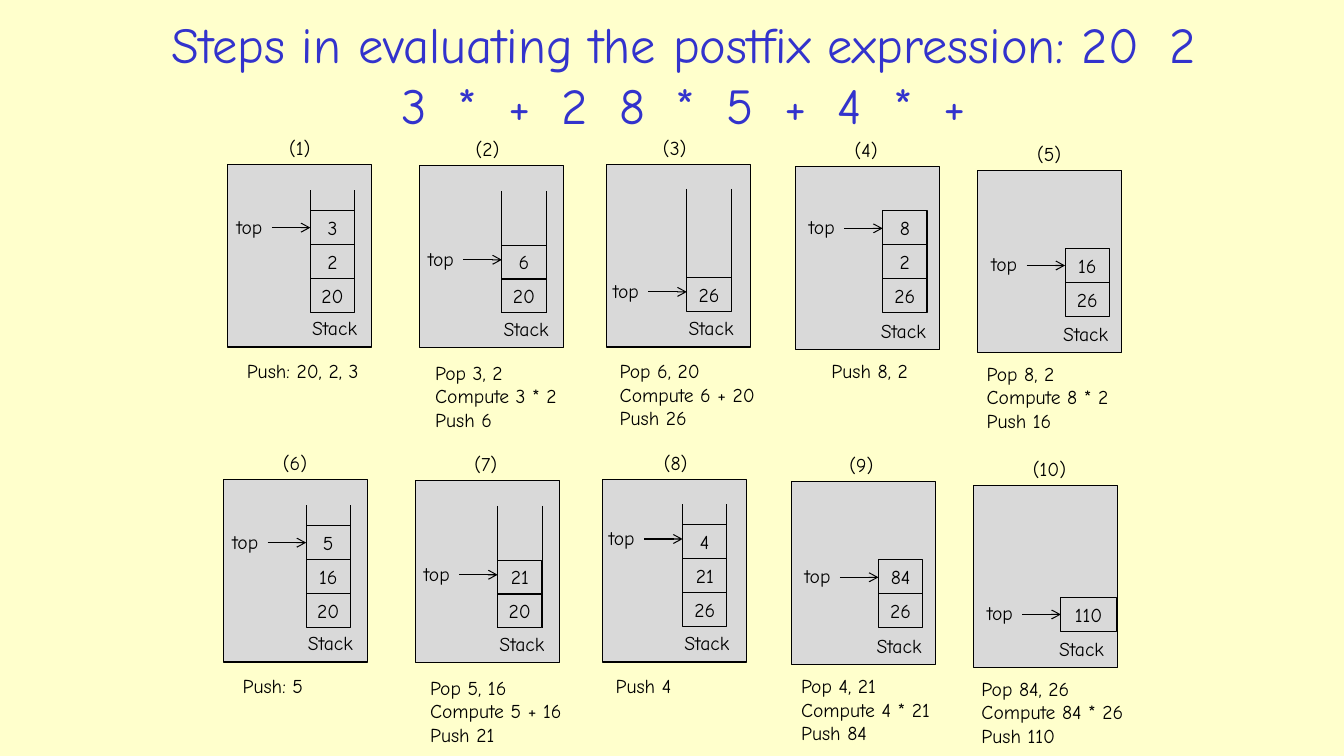
"""Build a slide tracing a stack through the evaluation of a postfix expression."""
import pptx
import pptx.dml.color
import pptx.enum.shapes
import pptx.enum.text
import pptx.oxml
import pptx.oxml.ns
import pptx.util

Pt = pptx.util.Pt


def color(hex_string):
    return pptx.dml.color.RGBColor.from_string(hex_string)


class StackSlide:
    font = "Comic Neue"
    text_size = 14
    ink = "000000"
    panel_fill = "D9D9D9"
    line_width = 0.75
    cell_height = 24.24
    line_pitch = 17

    def __init__(self, presentation, background):
        self.slide = presentation.slides.add_slide(presentation.slide_layouts[6])
        self.slide.background.fill.solid()
        self.slide.background.fill.fore_color.rgb = color(background)
        self.shapes = self.slide.shapes

    def start_group(self):
        self.shapes = self.slide.shapes.add_group_shape().shapes

    def format_font(self, font, size, hex_string):
        font.name = self.font
        font.size = Pt(size)
        font.color.rgb = color(hex_string)

    def title(self, left, top, width, height, words, tokens, size, hex_string, gap):
        frame = self.shapes.add_textbox(Pt(left), Pt(top), Pt(width), Pt(height)).text_frame
        frame.word_wrap = True
        frame.vertical_anchor = pptx.enum.text.MSO_ANCHOR.MIDDLE
        heading = frame.paragraphs[0]
        heading.alignment = pptx.enum.text.PP_ALIGN.CENTER
        heading.add_run().text = words + " " + tokens[0]
        for token in tokens[1:]:
            space = heading.add_run()
            space.text = " "
            space._r.get_or_add_rPr().set("spc", str(gap * 100))
            heading.add_run().text = token
        for run in heading.runs:
            self.format_font(run.font, size, hex_string)

    def label(self, left, top, width, text):
        height = self.cell_height + self.line_pitch * text.count("\n")
        frame = self.shapes.add_textbox(Pt(left), Pt(top), Pt(width), Pt(height)).text_frame
        frame.text = text
        frame.word_wrap = False
        frame.auto_size = pptx.enum.text.MSO_AUTO_SIZE.SHAPE_TO_FIT_TEXT
        for paragraph in frame.paragraphs:
            self.format_font(paragraph.runs[0].font, self.text_size, self.ink)

    def box(self, left, top, width, height):
        rectangle = self.shapes.add_shape(
            pptx.enum.shapes.MSO_SHAPE.RECTANGLE, Pt(left), Pt(top), Pt(width), Pt(height))
        rectangle.shadow.inherit = False
        rectangle.line.color.rgb = color(self.ink)
        rectangle.line.width = Pt(self.line_width)
        return rectangle

    def panel(self, left, top, width, height):
        background = self.box(left, top, width, height)
        background.fill.solid()
        background.fill.fore_color.rgb = color(self.panel_fill)

    def cell(self, left, top, width, value):
        entry = self.box(left, top, width, self.cell_height)
        entry.fill.background()
        entry.text_frame.text = str(value)
        entry.text_frame.word_wrap = False
        entry.text_frame.vertical_anchor = pptx.enum.text.MSO_ANCHOR.MIDDLE
        paragraph = entry.text_frame.paragraphs[0]
        paragraph.alignment = pptx.enum.text.PP_ALIGN.CENTER
        self.format_font(paragraph.runs[0].font, self.text_size, self.ink)

    def line(self, x1, y1, x2, y2, arrow=False):
        connector = self.shapes.add_connector(
            pptx.enum.shapes.MSO_CONNECTOR.STRAIGHT, Pt(x1), Pt(y1), Pt(x2), Pt(y2))
        connector.line.color.rgb = color(self.ink)
        connector.line.width = Pt(self.line_width)
        if arrow:
            outline = connector.line._get_or_add_ln()
            head = pptx.oxml.parse_xml(
                f'<a:tailEnd {pptx.oxml.ns.nsdecls("a")} type="arrow"/>')
            outline.append(head)
        connector._element.spPr.append(
            pptx.oxml.parse_xml(f'<a:effectLst {pptx.oxml.ns.nsdecls("a")}/>'))

    def step(self, number, column, row, step):
        panel_x, panel_y, stack_dx, base_dy, caption_dx, pointer_dy, action_dy, walled = column
        values, number_dx, action_dx, action_width, action = step
        left = panel_x - 3 * row
        top = panel_y + 225 * row
        stack_x = left + stack_dx
        base_y = top + base_dy
        cell_width = 39.6 if max(values) > 99 else 31.7
        self.start_group()
        self.panel(left, top, 103, 130.5)
        for level, value in enumerate(values):
            self.cell(stack_x, base_y - level * self.cell_height, cell_width, value)
        if walled:
            for wall_x in (stack_x, stack_x + cell_width):
                self.line(wall_x, base_y - 63, wall_x, base_y + self.cell_height)
        pointer_y = base_y - (len(values) - 1) * self.cell_height + pointer_dy
        self.label(stack_x - 59.8, pointer_y, 36, "top")
        self.line(stack_x - 27.5, pointer_y + 13, stack_x, pointer_y + 13, arrow=True)
        self.label(stack_x + caption_dx, top + 105, 53.3, "Stack")
        self.label(left + number_dx, top - 24, 39.6 if number > 9 else 33.8, f"({number})")
        self.label(left + action_dx, top + action_dy, action_width, action)


COLUMNS = [
    (162.7, 117.4, 59, 81.4, -5.8, -0.7, 135.4, True),
    (299.5, 118.1, 59, 81.2, -5.8, -2.5, 136, True),
    (433.4, 117.4, 57.2, 80.6, -5.8, -2.5, 135.4, True),
    (568.1, 118.9, 62.4, 80, -8.4, -0.3, 134, False),
    (698.4, 121.6, 62.4, 80, -8.4, -0.7, 133.2, False),
]

STEPS = [
    ([20, 2, 3], 36.7, 6.5, 103, "Push: 20, 2, 3"),
    ([20, 6], 33.1, 4.3, 108, "Pop 3, 2\nCompute 3 * 2\nPush 6"),
    ([26], 33.1, 2.2, 116, "Pop 6, 20\nCompute 6 + 20\nPush 26"),
    ([26, 2, 8], 35.3, 18.7, 73.4, "Push 8, 2"),
    ([26, 16], 35.3, -0.7, 108, "Pop 8, 2\nCompute 8 * 2\nPush 16"),
    ([20, 16, 5], 35.3, 6.5, 61.2, "Push: 5"),
    ([20, 21], 35.3, 3.6, 113.8, "Pop 5, 16\nCompute 5 + 16\nPush 21"),
    ([26, 21, 4], 36.7, 2.2, 56.9, "Push 4"),
    ([26, 84], 34.6, 0, 114.5, "Pop 4, 21\nCompute 4 * 21\nPush 84"),
    ([110], 35.3, -1.4, 125.3, "Pop 84, 26\nCompute 84 * 26\nPush 110"),
]


def main():
    presentation = pptx.Presentation()
    presentation.slide_width = Pt(960)
    presentation.slide_height = Pt(540)
    trace = StackSlide(presentation, "FFFFCC")
    trace.title(105.8, 16.6, 765.4, 72, "Steps in evaluating the postfix expression:",
                "20 2 3 * + 2 8 * 5 + 4 * +".split(), 36, "3333CC", 10)
    for index, step in enumerate(STEPS):
        row, column = divmod(index, len(COLUMNS))
        trace.step(index + 1, COLUMNS[column], row, step)
    presentation.save("out.pptx")


if __name__ == "__main__":
    main()
